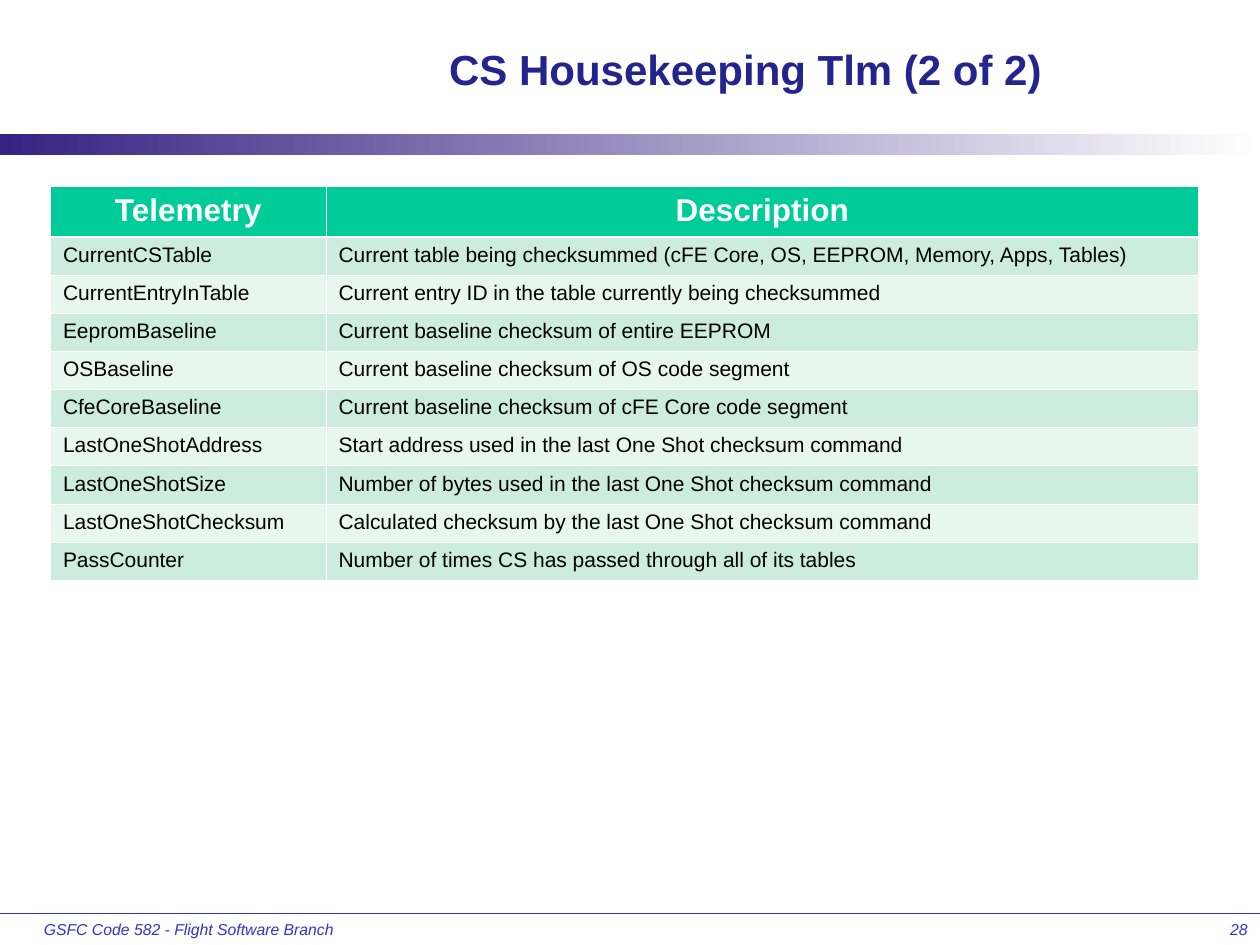
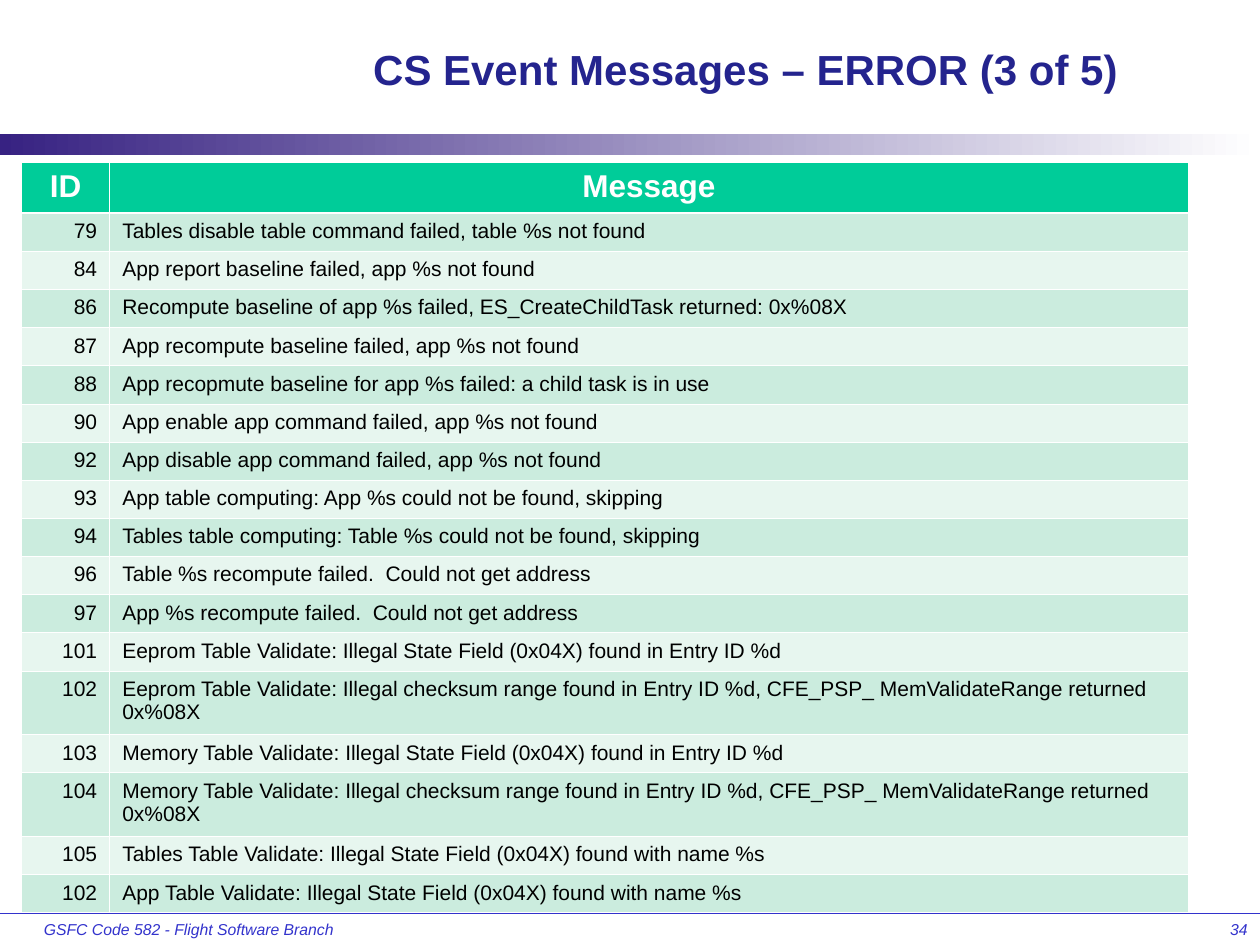
from lxml import etree
from pptx import Presentation
from pptx.dml.color import RGBColor
from pptx.enum.shapes import MSO_CONNECTOR, MSO_SHAPE
from pptx.enum.text import MSO_ANCHOR, MSO_AUTO_SIZE, PP_ALIGN
from pptx.oxml.ns import qn
from pptx.util import Inches, Pt

LEFT, CENTER, RIGHT = PP_ALIGN.LEFT, PP_ALIGN.CENTER, PP_ALIGN.RIGHT
MIDDLE = MSO_ANCHOR.MIDDLE
NO_AUTOFIT = MSO_AUTO_SIZE.NONE
RECTANGLE = MSO_SHAPE.RECTANGLE
STRAIGHT = MSO_CONNECTOR.STRAIGHT

FONT = "Arial"
COLORS = {
    "title": "24248E",
    "footer": "3333CC",
    "band_start": "372282",
    "band_end": "FFFFFF",
    "header": "00CC99",
    "header_text": "FFFFFF",
    "odd_row": "CBECDE",
    "even_row": "E7F6EF",
    "body_text": "000000",
    "border": "FFFFFF",
}

# Grid of 120 columns by 90 rows; boxes are (left, top, width, height) in grid units
COLUMNS, ROWS = 120, 90
SLIDE_WIDTH, SLIDE_HEIGHT = Inches(10), Inches(7.5)
TITLE_BOX = (25, 2, 92, 9.12)
BAND_BOX = (0, 12.75, COLUMNS, 2)
BRANCH_BOX = (3, 87, 31, 3)
NUMBER_BOX = (95, 87, 25, 3)

# Table row heights in points
HEADER_HEIGHT, LINE_HEIGHT, TWO_LINE_HEIGHT = 28.7, 21.8, 36.4
THIN_BORDER, THICK_BORDER = 0.45, 1.47

TELEMETRY = [
    ("Telemetry", "Description"),
    ("CurrentCSTable", "Current table being checksummed (cFE Core, OS, EEPROM, Memory, Apps, Tables)"),
    ("CurrentEntryInTable", "Current entry ID in the table currently being checksummed"),
    ("EepromBaseline", "Current baseline checksum of entire EEPROM"),
    ("OSBaseline", "Current baseline checksum of OS code segment"),
    ("CfeCoreBaseline", "Current baseline checksum of cFE Core code segment"),
    ("LastOneShotAddress", "Start address used in the last One Shot checksum command"),
    ("LastOneShotSize", "Number of bytes used in the last One Shot checksum command"),
    ("LastOneShotChecksum", "Calculated checksum by the last One Shot checksum command"),
    ("PassCounter", "Number of times CS has passed through all of its tables"),
]

ERROR_MESSAGES = [
    ("ID", "Message"),
    ("79", "Tables disable table command failed, table %s not found"),
    ("84", "App report baseline failed, app %s not found"),
    ("86", "Recompute baseline of app %s failed, ES_CreateChildTask returned: 0x%08X"),
    ("87", "App recompute baseline failed, app %s not found"),
    ("88", "App recopmute baseline for app %s failed: a child task is in use"),
    ("90", "App enable app command failed, app %s not found"),
    ("92", "App disable app command failed, app %s not found"),
    ("93", "App table computing: App %s could not be found, skipping"),
    ("94", "Tables table computing: Table %s could not be found, skipping"),
    ("96", "Table %s recompute failed.  Could not get address"),
    ("97", "App %s recompute failed.  Could not get address"),
    ("101", "Eeprom Table Validate: Illegal State Field (0x04X) found in Entry ID %d"),
    ("102", "Eeprom Table Validate: Illegal checksum range found in Entry ID %d, "
            "CFE_PSP_ MemValidateRange returned 0x%08X"),
    ("103", "Memory Table Validate: Illegal State Field (0x04X) found in Entry ID %d"),
    ("104", "Memory Table Validate: Illegal checksum range found in Entry ID %d, "
            "CFE_PSP_ MemValidateRange returned 0x%08X"),
    ("105", "Tables Table Validate: Illegal State Field (0x04X) found with name %s"),
    ("102", "App Table Validate: Illegal State Field (0x04X) found with name %s"),
]
TWO_LINE_ROWS = (13, 15)


def color(name):
    return RGBColor.from_string(COLORS[name])


def across(columns):
    return int(SLIDE_WIDTH * columns / COLUMNS)


def down(rows):
    return int(SLIDE_HEIGHT * rows / ROWS)


def place(box):
    left, top, width, height = box
    return across(left), down(top), across(width), down(height)


def write(text_frame, text, size, color_name, align=LEFT, bold=False, italic=False):
    text_frame.text = text
    paragraph = text_frame.paragraphs[0]
    paragraph.alignment = align
    font = paragraph.font
    font.name, font.size, font.bold, font.italic = FONT, Pt(size), bold, italic
    font.color.rgb = color(color_name)


def add_title(slide, box, text):
    title = slide.shapes.title
    title.left, title.top, title.width, title.height = place(box)
    title.text_frame.auto_size = NO_AUTOFIT
    title.text_frame.vertical_anchor = MIDDLE
    write(title.text_frame, text, 24, "title", CENTER, bold=True)


def add_band(slide, box):
    band = slide.shapes.add_shape(RECTANGLE, *place(box))
    band.shadow.inherit = False
    band.line.fill.background()
    band.fill.gradient()
    band.fill.gradient_angle = 0
    for stop, name in zip(band.fill.gradient_stops, ("band_start", "band_end")):
        stop.color.rgb = color(name)


def add_footer(slide, page_number):
    # Rule along the top edge of the footer
    top = down(BRANCH_BOX[1])
    rule = slide.shapes.add_connector(STRAIGHT, 0, top, SLIDE_WIDTH, top)
    rule.line.color.rgb = color("footer")
    rule.line.width = Pt(0.75)
    etree.SubElement(rule._element.spPr, qn("a:effectLst"))

    # Branch name and page number
    for box, text, align in (
        (BRANCH_BOX, "GSFC Code 582 - Flight Software Branch", LEFT),
        (NUMBER_BOX, str(page_number), RIGHT),
    ):
        text_frame = slide.shapes.add_textbox(*place(box)).text_frame
        text_frame.word_wrap = True
        write(text_frame, text, 9, "footer", align, italic=True)


def add_borders(cell, row_index):
    """Thin white borders, with a thicker line under the header row."""
    thick_side = {0: "lnB", 1: "lnT"}.get(row_index)
    properties = cell._tc.get_or_add_tcPr()
    for side in ("lnL", "lnR", "lnT", "lnB"):
        width = THICK_BORDER if side == thick_side else THIN_BORDER
        line = etree.SubElement(properties, qn(f"a:{side}"), w=str(Pt(width)))
        fill = etree.SubElement(line, qn("a:solidFill"))
        etree.SubElement(fill, qn("a:srgbClr"), val=COLORS["border"])


def add_data_table(slide, left, top, widths, records, key_align=LEFT, two_line_rows=()):
    heights = [HEADER_HEIGHT] + [
        TWO_LINE_HEIGHT if index in two_line_rows else LINE_HEIGHT
        for index in range(1, len(records))
    ]
    table = slide.shapes.add_table(
        len(records), len(widths), across(left), down(top),
        across(sum(widths)), Pt(sum(heights)),
    ).table
    for column, width in zip(table.columns, widths):
        column.width = across(width)

    for row_index, (row, record) in enumerate(zip(table.rows, records)):
        row.height = Pt(heights[row_index])
        for cell, text, align in zip(row.cells, record, (key_align, LEFT)):
            add_borders(cell, row_index)
            cell.fill.solid()
            if row_index == 0:
                cell.fill.fore_color.rgb = color("header")
                write(cell.text_frame, text, 18, "header_text", CENTER, bold=True)
            else:
                cell.fill.fore_color.rgb = color("odd_row" if row_index % 2 else "even_row")
                write(cell.text_frame, text, 12, "body_text", align)


def add_base_slide(presentation, title, page_number):
    title_only = presentation.slide_layouts[5]
    slide = presentation.slides.add_slide(title_only)
    add_band(slide, BAND_BOX)
    add_footer(slide, page_number)
    add_title(slide, TITLE_BOX, title)
    return slide


def main():
    presentation = Presentation()
    presentation.slide_width, presentation.slide_height = SLIDE_WIDTH, SLIDE_HEIGHT

    # Housekeeping telemetry
    slide = add_base_slide(presentation, "CS Housekeeping Tlm (2 of 2)", 28)
    add_data_table(slide, 4.8, 17.75, (26.25, 83.1), TELEMETRY)

    # Error event messages
    slide = add_base_slide(presentation, "CS Event Messages – ERROR (3 of 5)", 34)
    add_data_table(slide, 2.05, 15.5, (8.4, 102.7), ERROR_MESSAGES, RIGHT, TWO_LINE_ROWS)

    presentation.save("out.pptx")


if __name__ == "__main__":
    main()
